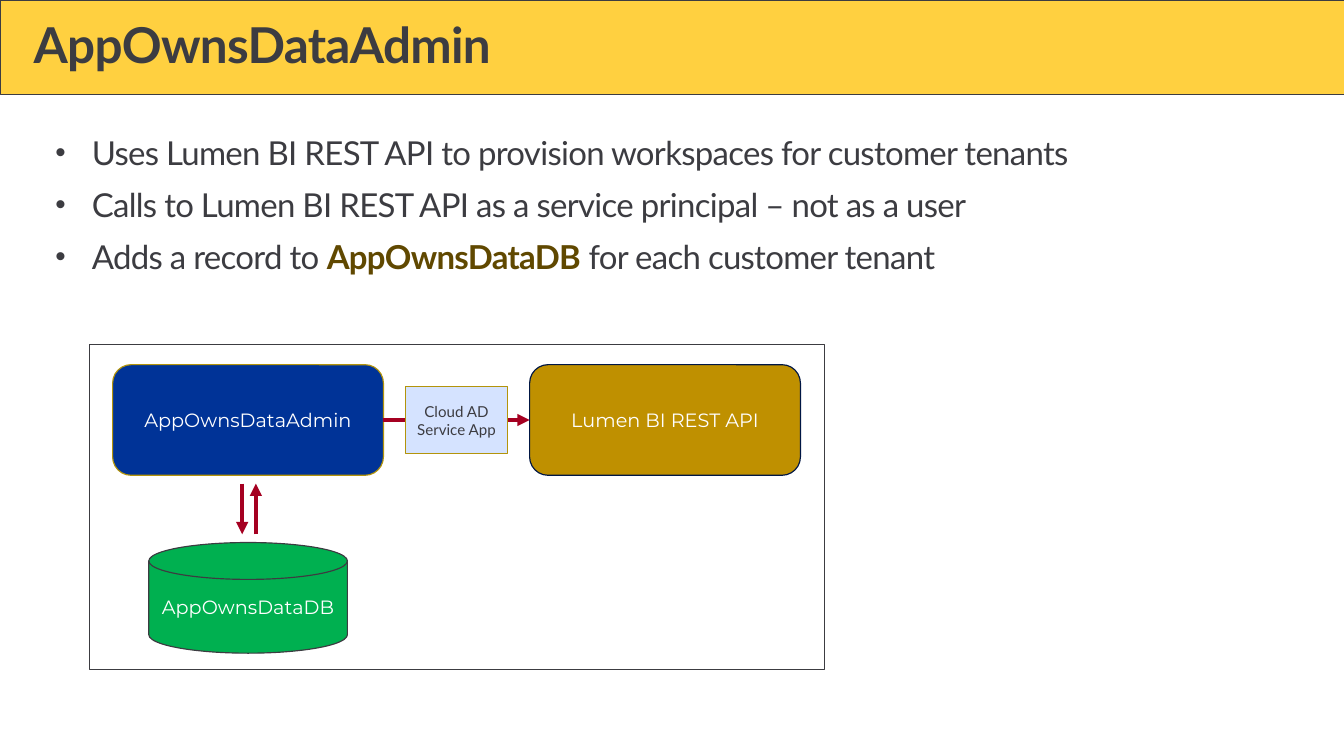
import pptx
import pptx.util
import pptx.dml.color
import pptx.enum.shapes
import pptx.enum.text
import pptx.oxml.ns
import lxml.etree
from dataclasses import dataclass

Pt = pptx.util.Pt
SHAPE = pptx.enum.shapes.MSO_SHAPE
ANCHOR = pptx.enum.text.MSO_ANCHOR
ALIGN = pptx.enum.text.PP_ALIGN
qn = pptx.oxml.ns.qn


@dataclass(frozen=True)
class Theme:
    ink: str = "3C3C41"
    white: str = "FFFFFF"
    yellow: str = "FFD040"
    brown: str = "604800"
    ochre: str = "BF9000"
    navy: str = "003397"
    midnight: str = "001644"
    gold: str = "B3940B"
    green: str = "00B050"
    sky: str = "D5E3FF"
    crimson: str = "A50021"
    text_font: str = "Lato"
    node_font: str = "Montserrat"
    title_size: float = 36
    bullet_size: float = 24
    node_size: float = 14
    small_size: float = 11
    outline: float = 0.85
    arrow: float = 3
    tracking: int = -50


THEME = Theme()

# Content
TITLE = "AppOwnsDataAdmin"
BULLETS = [  # each bullet is a list of (text, emphasised)
    [("Uses Lumen BI REST API to provision workspaces for customer tenants", False)],
    [("Calls to Lumen BI REST API as a service principal – not as a user", False)],
    [("Adds a record to ", False), ("AppOwnsDataDB", True), (" for each customer tenant", False)],
]
ADMIN, API = "AppOwnsDataAdmin", "Lumen BI REST API"
DATABASE, SERVICE_APP = "AppOwnsDataDB", "Cloud AD Service App"

# Layout: left, top, width, height in points
SLIDE_W, SLIDE_H = 979.2, 550.8
BAND = (0, 0, SLIDE_W, 69.1)
TITLE_AREA = (24.5, 15.1, 929.5, 39.6)
BULLET_AREA = (40.3, 96.5, 913.7, 105.1)
BULLET_INDENT = 26.6
PANEL = (65.5, 251.3, 535, 236.2)
NODE_W, NODE_H, NODE_TOP = 197.3, 80.6, 265.7
ADMIN_LEFT, API_LEFT = 82.1, 385.9
DISK_W, DISK_TOP = 144.7, 395.3
SERVICE_W, SERVICE_H = 74.9, 49
ARROW_SPREAD, ARROW_GAP = 10, 6

ADMIN_RIGHT = ADMIN_LEFT + NODE_W
ADMIN_CENTRE = ADMIN_LEFT + NODE_W / 2
ROW_MIDDLE = NODE_TOP + NODE_H / 2
SERVICE_LEFT = (ADMIN_RIGHT + API_LEFT - SERVICE_W) / 2


def color(value):
    return pptx.dml.color.RGBColor.from_string(value)


def style_font(font, name, size, ink, bold=False):
    font.name, font.size, font.bold = name, Pt(size), bold
    font.color.rgb = color(ink)


def add_span(para, text):
    span = para.add_run()
    span.text = text
    span._r.get_or_add_rPr().set("spc", str(THEME.tracking))
    return span


def clear_insets(frame):
    frame.margin_left = frame.margin_right = frame.margin_top = frame.margin_bottom = 0
    frame.vertical_anchor = ANCHOR.TOP
    frame.word_wrap = True


def add_box(page, kind, area, fill, line, line_width=THEME.outline):
    box = page.shapes.add_shape(kind, *map(Pt, area))
    box.shadow.inherit = False
    box.fill.solid()
    box.fill.fore_color.rgb = color(fill)
    box.line.color.rgb = color(line)
    box.line.width = Pt(line_width)
    return box


def add_node(page, kind, area, fill, line, text, font=THEME.node_font,
             size=THEME.node_size, ink=THEME.white):
    frame = add_box(page, kind, area, fill, line).text_frame
    frame.word_wrap = True
    frame.vertical_anchor = ANCHOR.MIDDLE
    para = frame.paragraphs[0]
    para.text = text
    para.alignment = ALIGN.CENTER
    style_font(para.font, font, size, ink)


def add_arrow(page, start, end):
    arrow = page.shapes.add_connector(
        pptx.enum.shapes.MSO_CONNECTOR.STRAIGHT, *map(Pt, start + end))
    arrow.line.color.rgb = color(THEME.crimson)
    arrow.line.width = Pt(THEME.arrow)
    lxml.etree.SubElement(arrow.line._get_or_add_ln(), qn("a:tailEnd"), type="triangle")
    lxml.etree.SubElement(arrow._element.spPr, qn("a:effectLst"))


def add_title(page):
    band = add_box(page, SHAPE.RECTANGLE, BAND, THEME.yellow, THEME.ink, 0.5)
    page.shapes._spTree.insert(2, band._element)  # behind the title
    title = page.shapes.title
    title.left, title.top, title.width, title.height = map(Pt, TITLE_AREA)
    clear_insets(title.text_frame)
    para = title.text_frame.paragraphs[0]
    para.alignment = ALIGN.LEFT
    para.line_spacing = 0.9
    style_font(para.font, THEME.text_font, THEME.title_size, THEME.ink, True)
    add_span(para, TITLE)


def add_bullets(page):
    frame = page.shapes.add_textbox(*map(Pt, BULLET_AREA)).text_frame
    clear_insets(frame)
    for index, parts in enumerate(BULLETS):
        para = frame.add_paragraph() if index else frame.paragraphs[0]
        para.space_before, para.space_after = Pt(3), Pt(6)
        props = para._p.get_or_add_pPr()
        props.set("marL", str(Pt(BULLET_INDENT)))
        props.set("indent", str(-Pt(BULLET_INDENT)))
        lxml.etree.SubElement(props, qn("a:buSzPct"), val="90000")
        lxml.etree.SubElement(props, qn("a:buFont"), typeface="Arial")
        lxml.etree.SubElement(props, qn("a:buChar"), char="•")
        style_font(para.font, THEME.text_font, THEME.bullet_size, THEME.ink)
        for text, emphasised in parts:
            span = add_span(para, text)
            if emphasised:
                span.font.bold = True
                span.font.color.rgb = color(THEME.brown)


def add_diagram(page):
    add_box(page, SHAPE.RECTANGLE, PANEL, THEME.white, THEME.ink, 0.75)

    # Applications and database
    add_node(page, SHAPE.ROUNDED_RECTANGLE, (API_LEFT, NODE_TOP, NODE_W, NODE_H),
             THEME.ochre, THEME.midnight, API)
    add_node(page, SHAPE.ROUNDED_RECTANGLE, (ADMIN_LEFT, NODE_TOP, NODE_W, NODE_H),
             THEME.navy, THEME.gold, ADMIN)
    add_node(page, SHAPE.FLOWCHART_MAGNETIC_DISK,
             (ADMIN_CENTRE - DISK_W / 2, DISK_TOP, DISK_W, NODE_H),
             THEME.green, THEME.ink, DATABASE)

    # Calls, with the service app over the horizontal one
    add_arrow(page, (ADMIN_RIGHT, ROW_MIDDLE), (API_LEFT, ROW_MIDDLE))
    upper, lower = NODE_TOP + NODE_H + ARROW_GAP, DISK_TOP - ARROW_GAP
    down_x = ADMIN_CENTRE + 0.7 - ARROW_SPREAD / 2
    up_x = down_x + ARROW_SPREAD
    add_arrow(page, (down_x, upper), (down_x, lower))
    add_arrow(page, (up_x, lower), (up_x, upper))
    add_node(page, SHAPE.RECTANGLE,
             (SERVICE_LEFT, ROW_MIDDLE - SERVICE_H / 2, SERVICE_W, SERVICE_H),
             THEME.sky, THEME.gold, SERVICE_APP,
             THEME.text_font, THEME.small_size, THEME.ink)


def main():
    deck = pptx.Presentation()
    deck.slide_width, deck.slide_height = Pt(SLIDE_W), Pt(SLIDE_H)
    page = deck.slides.add_slide(deck.slide_layouts.get_by_name("Title Only"))
    add_title(page)
    add_bullets(page)
    add_diagram(page)
    deck.save("out.pptx")


if __name__ == "__main__":
    main()
